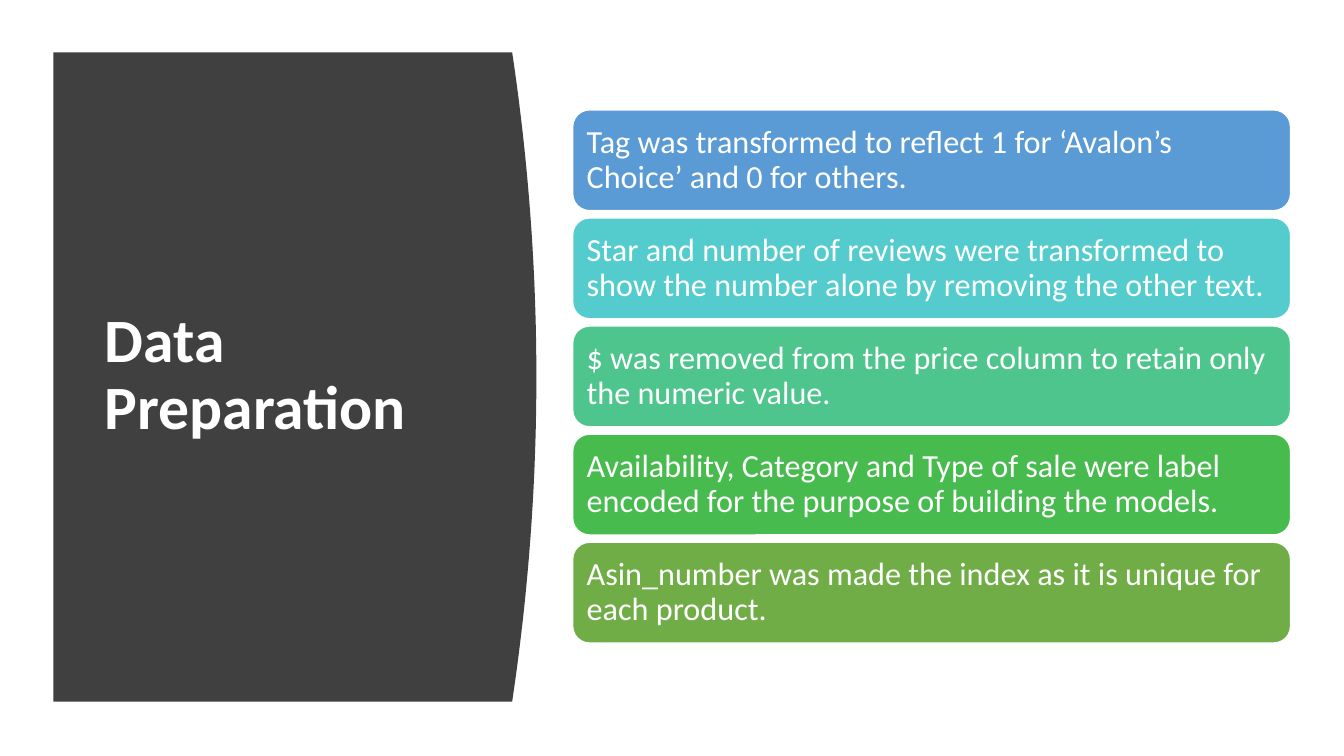
"""Build the Data Preparation slide with a curved title panel and five step cards."""
from typing import NamedTuple

from pptx import Presentation
from pptx import util as u
from pptx.dml import color
from pptx.enum import shapes, text

COLORS = {
    "white": "FFFFFF", "panel": "404040", "blue": "5B9BD5", "teal": "54CCCD",
    "mint": "4DC58D", "green": "48BB4F", "olive": "70AD47",
}
FONT = "Calibri"
PANEL_LEFT, PANEL_TOP, PANEL_BOTTOM = 0.53, 0.52, 6.96
PANEL_RIGHT, PANEL_BULGE, CURVE_STEPS = 5.08, 0.24, 40
CARD_LEFT, CARD_TOP, CARD_WIDTH, CARD_HEIGHT = 5.68, 1.09, 7.12, 1.0
CARD_PITCH = 1.0725


class Card(NamedTuple):
    """One preparation step and its fill colour."""
    wording: str
    fill: str


CARDS = [
    Card("Tag was transformed to reflect 1 for ‘Avalon’s Choice’ and 0 for others.", "blue"),
    Card("Star and number of reviews were transformed to show the number alone "
         "by removing the other text.", "teal"),
    Card("$ was removed from the price column to retain only the numeric value.", "mint"),
    Card("Availability, Category and Type of sale were label encoded for the purpose "
         "of building the models.", "green"),
    Card("Asin_number was made the index as it is unique for each product.", "olive"),
]


def rgb(name: str) -> color.RGBColor:
    """Look up a palette colour."""
    return color.RGBColor.from_string(COLORS[name])


def set_text(shape, wording: str, size: float, bold: bool = False) -> None:
    """Write white, left-aligned, vertically centred text."""
    frame = shape.text_frame
    frame.text = wording
    frame.word_wrap = True
    frame.auto_size = text.MSO_AUTO_SIZE.NONE
    frame.vertical_anchor = text.MSO_ANCHOR.MIDDLE
    para = frame.paragraphs[0]
    para.alignment = text.PP_ALIGN.LEFT
    para.line_spacing = 0.9
    font = para.runs[0].font
    font.name, font.size, font.bold = FONT, u.Pt(size), bold
    font.color.rgb = rgb("white")


def add_panel(slide):
    """Draw the dark panel whose right edge bulges as a parabola."""
    edge = []
    for step in range(CURVE_STEPS + 1):
        share = step / CURVE_STEPS
        x = PANEL_RIGHT + PANEL_BULGE * (1 - (2 * share - 1) ** 2)
        y = PANEL_TOP + share * (PANEL_BOTTOM - PANEL_TOP)
        edge.append((u.Inches(x), u.Inches(y)))
    left = u.Inches(PANEL_LEFT)
    builder = slide.shapes.build_freeform(left, u.Inches(PANEL_TOP))
    builder.add_line_segments(edge + [(left, u.Inches(PANEL_BOTTOM))], close=True)
    panel = builder.convert_to_shape()
    panel.shadow.inherit = False
    panel.fill.solid()
    panel.fill.fore_color.rgb = rgb("panel")
    panel.line.fill.background()
    return panel


def add_title(slide, panel) -> None:
    """Place the title over the panel."""
    title = slide.shapes.title
    title.left, title.top = u.Inches(0.94), u.Inches(1.11)
    title.width, title.height = u.Inches(3.74), u.Inches(5.24)
    set_text(title, "Data Preparation", 44, bold=True)
    title.element.addprevious(panel.element)


def add_card(slide, index: int, card: Card) -> None:
    """Draw one rounded card at its row."""
    box = slide.shapes.add_shape(
        shapes.MSO_SHAPE.ROUNDED_RECTANGLE,
        u.Inches(CARD_LEFT), u.Inches(CARD_TOP + index * CARD_PITCH),
        u.Inches(CARD_WIDTH), u.Inches(CARD_HEIGHT))
    box.shadow.inherit = False
    box.fill.solid()
    box.fill.fore_color.rgb = rgb(card.fill)
    box.line.color.rgb = rgb("white")
    box.line.width = u.Pt(1)
    set_text(box, card.wording, 23)
    frame = box.text_frame
    frame.margin_left = frame.margin_right = u.Inches(0.09)
    frame.margin_top = frame.margin_bottom = u.Inches(0.1)


def main() -> None:
    """Assemble and save the deck."""
    deck = Presentation()
    deck.slide_width, deck.slide_height = u.Inches(13.33), u.Inches(7.5)
    slide = deck.slides.add_slide(deck.slide_layouts[5])
    add_title(slide, add_panel(slide))
    for index, card in enumerate(CARDS):
        add_card(slide, index, card)
    deck.save("out.pptx")


main()
